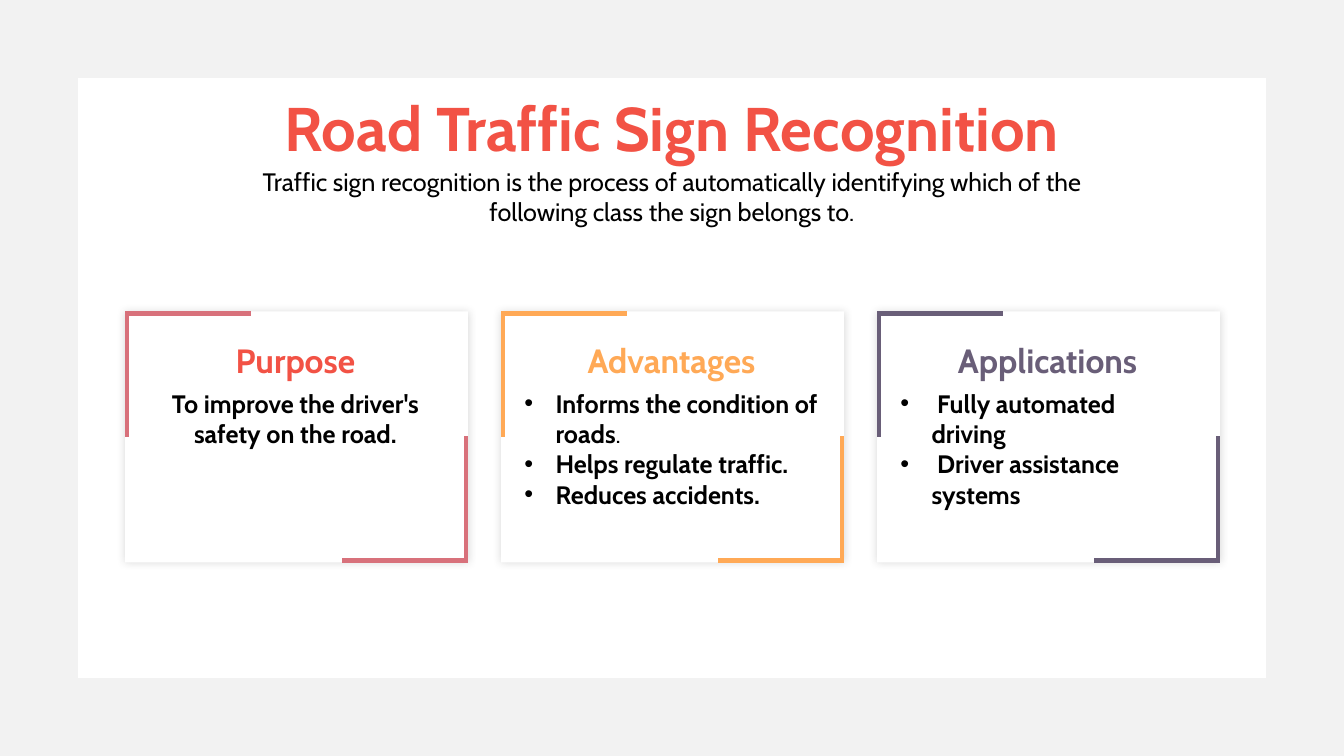
"""Builds the road traffic sign recognition slide."""
from lxml.etree import SubElement
from pptx import Presentation
from pptx.dml.color import RGBColor
from pptx.enum.shapes import MSO_CONNECTOR, MSO_SHAPE
from pptx.enum.text import MSO_ANCHOR, MSO_AUTO_SIZE, PP_ALIGN
from pptx.oxml import parse_xml
from pptx.oxml.ns import nsdecls, qn
from pptx.util import Inches, Pt

BLACK = RGBColor(0x00, 0x00, 0x00)
WHITE = RGBColor(0xFF, 0xFF, 0xFF)
GREY = RGBColor(0xF2, 0xF2, 0xF2)
RED = RGBColor(0xF2, 0x52, 0x45)
ROSE = RGBColor(0xD8, 0x71, 0x7B)
ORANGE = RGBColor(0xFF, 0xA9, 0x56)
PURPLE = RGBColor(0x69, 0x5E, 0x78)

CARD_SHADOW = (
    f'<a:effectLst {nsdecls("a")}><a:outerShdw blurRad="{Pt(6)}" dist="0" dir="0" '
    'algn="ctr" rotWithShape="0"><a:srgbClr val="404040"><a:alpha val="20000"/>'
    '</a:srgbClr></a:outerShdw></a:effectLst>'
)


class SignSlide:
    def __init__(self, slide, font="Cabin"):
        self.slide = slide
        self.font = font

    def shape(self, preset, left, top, width, height, fill):
        shape = self.slide.shapes.add_shape(
            preset, Inches(left), Inches(top), Inches(width), Inches(height))
        shape.shadow.inherit = False
        shape.fill.solid()
        shape.fill.fore_color.rgb = fill
        shape.line.fill.background()
        return shape

    def card(self, left, top, width, height):
        properties = self.shape(
            MSO_SHAPE.RECTANGLE, left, top, width, height, WHITE).element.spPr
        properties.replace(properties.find(qn("a:effectLst")), parse_xml(CARD_SHADOW))

    def line(self, x1, y1, x2, y2, color):
        line = self.slide.shapes.add_connector(
            MSO_CONNECTOR.STRAIGHT, Inches(x1), Inches(y1), Inches(x2), Inches(y2))
        line.line.color.rgb = color
        line.line.width = Pt(3)
        SubElement(line.element.spPr, qn("a:effectLst"))

    def corner(self, x, y, direction, color, arm=1.25, inset=0.02):
        shift, reach = direction * inset, direction * arm
        self.line(x + shift, y, x + shift, y + reach, color)
        self.line(x, y + shift, x + reach, y + shift, color)

    def fill_text(self, holder, paragraphs, size, color, bulleted=False):
        frame = holder.text_frame
        frame.word_wrap = True
        frame.auto_size = MSO_AUTO_SIZE.NONE
        frame.vertical_anchor = MSO_ANCHOR.TOP
        for index, runs in enumerate(paragraphs):
            paragraph = frame.add_paragraph() if index else frame.paragraphs[0]
            paragraph.alignment = PP_ALIGN.LEFT if bulleted else PP_ALIGN.CENTER
            paragraph.space_before = Pt(0)
            if bulleted:
                properties = paragraph._p.get_or_add_pPr()
                properties.set("marL", str(Inches(0.31)))
                properties.set("indent", str(-Inches(0.31)))
                SubElement(properties, qn("a:buFont"), typeface="Arial")
                SubElement(properties, qn("a:buChar"), char="•")
            for words, bold in runs:
                run = paragraph.add_run()
                run.text = words
                run.font.name = self.font
                run.font.size = Pt(size)
                run.font.bold = bold
                run.font.color.rgb = color

    def text(self, left, top, width, height, words, size, color, bold=True):
        box = self.slide.shapes.add_textbox(
            Inches(left), Inches(top), Inches(width), Inches(height))
        self.fill_text(box, [[(words, bold)]], size, color)

    def placeholder(self, index, left, top, width, height, paragraphs, size, color,
                    bulleted=False):
        holder = self.slide.placeholders[index]
        holder.left, holder.top = Inches(left), Inches(top)
        holder.width, holder.height = Inches(width), Inches(height)
        holder.element.getparent().append(holder.element)
        self.fill_text(holder, paragraphs, size, color, bulleted)


presentation = Presentation()
presentation.slide_width = Inches(13.33)
presentation.slide_height = Inches(7.5)
signs = SignSlide(presentation.slides.add_slide(presentation.slide_layouts[3]))

border = signs.shape(MSO_SHAPE.FRAME, 0, 0, 13.33, 7.5, GREY)
border.adjustments[0] = 0.103

CARD_TOP, CARD_WIDTH, CARD_HEIGHT, CARD_STEP = 3.09, 3.4, 2.49, 3.73
ADVANTAGES = [
    [("Informs the condition of roads", True), (".", False)],
    [("Helps regulate traffic.", True)],
    [("Reduces accidents.", True)],
]
APPLICATIONS = [
    [("\u00a0Fully automated driving", True)],
    [("\u00a0Driver assistance systems", True)],
]
CARDS = [
    ("Purpose", RED, ROSE, None, 0.71),
    ("Advantages", ORANGE, ORANGE, ADVANTAGES, 1.55),
    ("Applications", PURPLE, PURPLE, APPLICATIONS, 1.01),
]
for number, (heading, heading_color, corner_color, points, body_height) in enumerate(CARDS):
    card_left = 1.24 + number * CARD_STEP
    body_area = (card_left + 0.13, 3.8, 3.12, body_height)
    signs.card(card_left, CARD_TOP, CARD_WIDTH, CARD_HEIGHT)
    if points:
        signs.placeholder(number, *body_area, points, 18, BLACK, bulleted=True)
    else:
        signs.text(*body_area, "To improve the driver's safety on the road.", 18, BLACK)
    signs.text(card_left + 0.22, 3.32, 2.94, 0.5, heading, 24, heading_color)
    signs.corner(card_left, CARD_TOP, 1, corner_color)
    signs.corner(card_left + CARD_WIDTH, CARD_TOP + CARD_HEIGHT, -1, corner_color)

signs.placeholder(0, 2.48, 0.84, 8.37, 0.84,
                  [[("Road Traffic Sign Recognition", True)]], 44, RED)
signs.text(2.41, 1.6, 8.51, 0.71,
           "Traffic sign recognition is the process of automatically identifying "
           "which of the following class the sign belongs to.", 18, BLACK, bold=False)

presentation.save("out.pptx")
